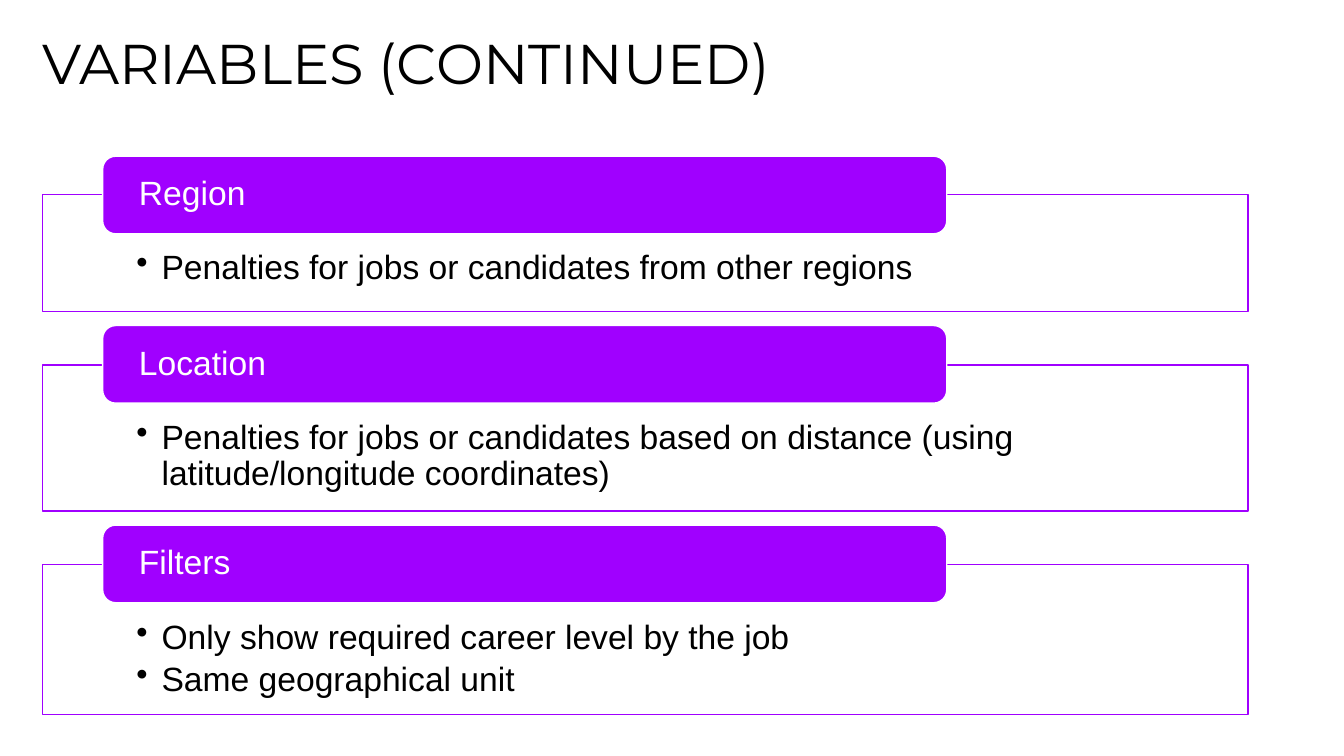
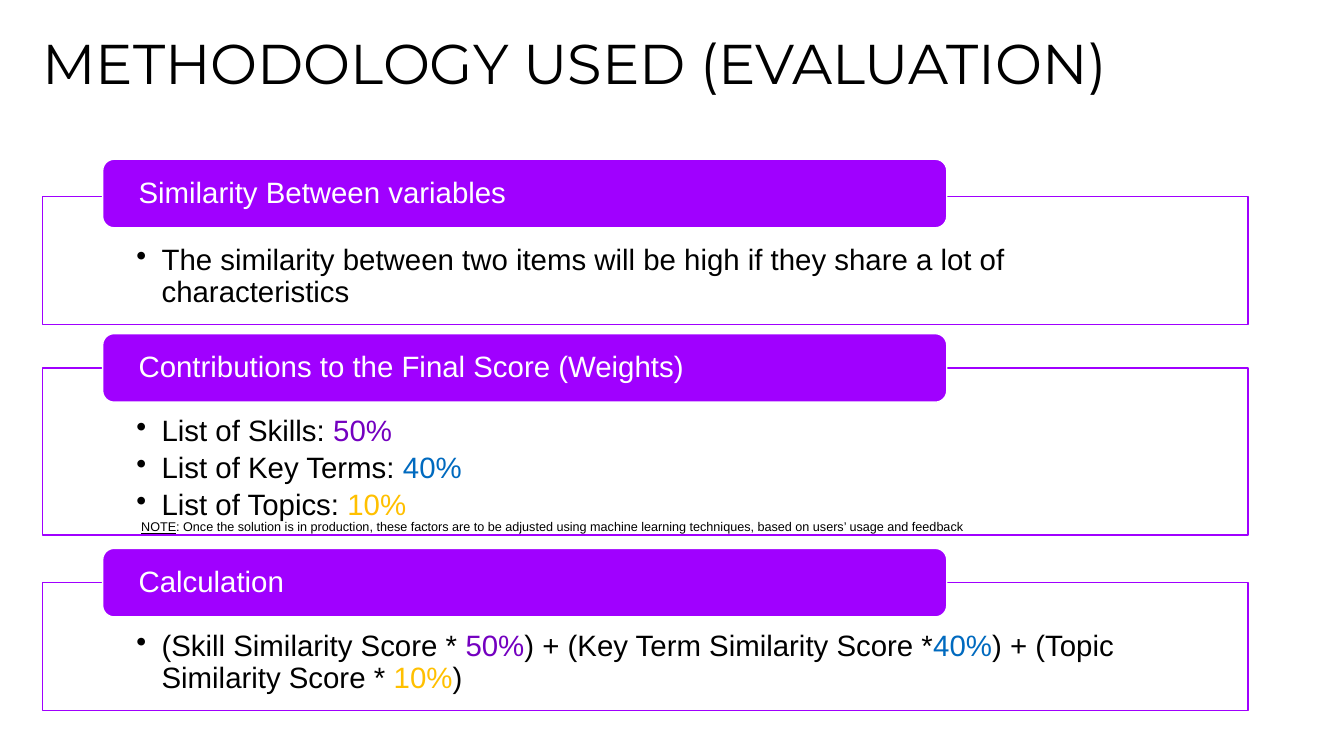
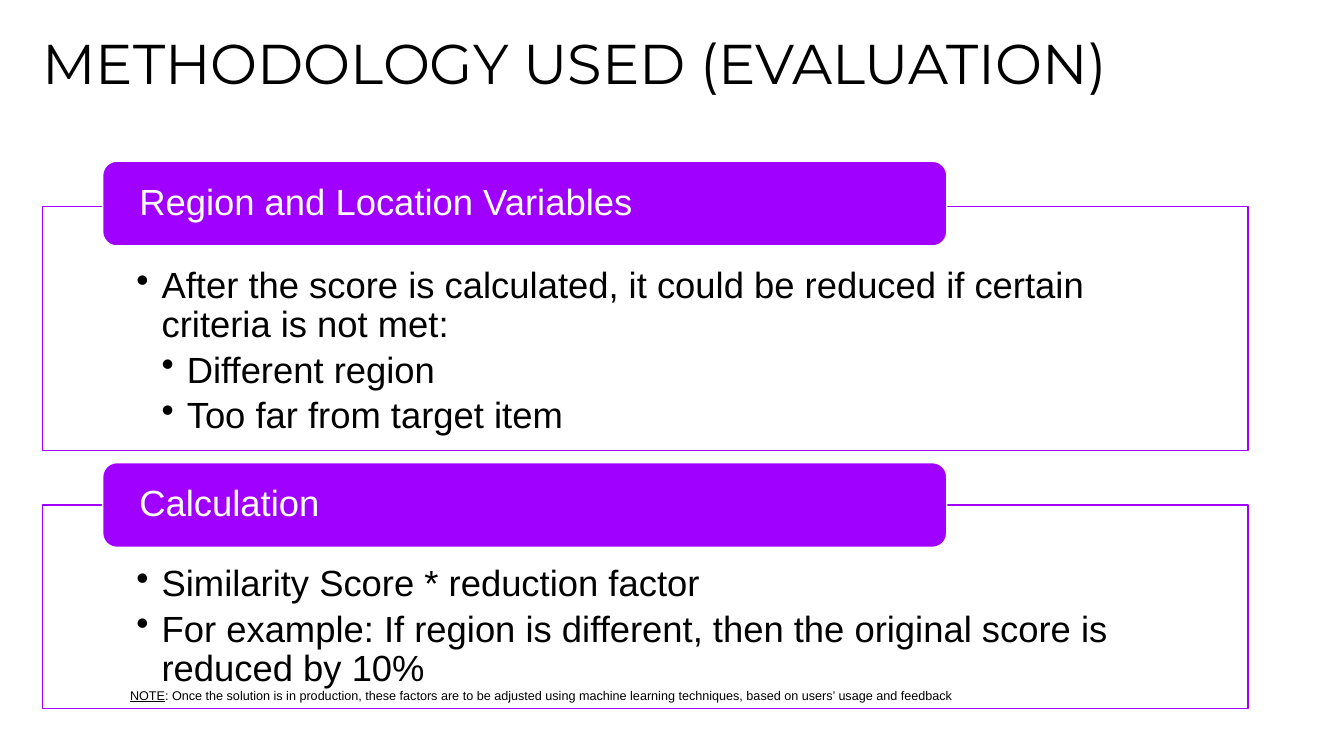
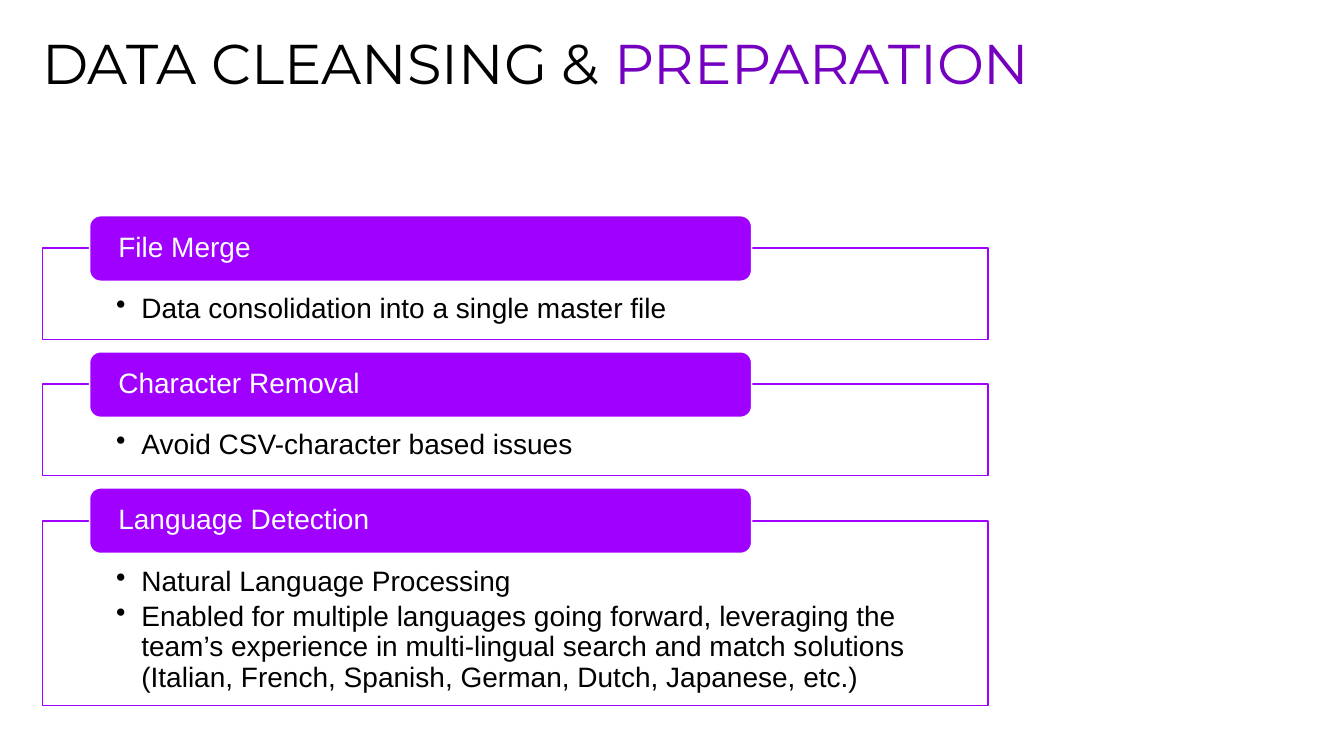
from pptx import Presentation
from pptx.dml.color import RGBColor
from pptx.enum.shapes import MSO_SHAPE
from pptx.enum.text import MSO_ANCHOR, PP_ALIGN
from pptx.oxml.ns import qn
from pptx.util import Inches, Pt
from lxml import etree

RECT, ROUND = MSO_SHAPE.RECTANGLE, MSO_SHAPE.ROUNDED_RECTANGLE
TOP, MIDDLE = MSO_ANCHOR.TOP, MSO_ANCHOR.MIDDLE
LEFT = PP_ALIGN.LEFT

THEME = {
    "ink": "000000", "white": "FFFFFF", "accent": "A000FF",
    "violet": "7400C0", "blue": "006ABF", "gold": "FFC000", "prep": "7500C0",
    "head": "Montserrat", "body": "Arial",
    "title": 40, "note": 9, "edge": 0.42, "indent": 0.25,
}


def write(shape, paras, look):
    frame = shape.text_frame
    frame.word_wrap = True
    frame.vertical_anchor = look.get("anchor", TOP)
    for side, inset in zip(("left", "top", "right", "bottom"), look["insets"]):
        setattr(frame, "margin_" + side, Inches(inset))
    for i, (level, runs) in enumerate(paras):
        para = frame.paragraphs[0] if i == 0 else frame.add_paragraph()
        form = {"alignment": LEFT, "level": level, "line_spacing": look["lines"],
                "space_after": Pt(look.get("after", 0))}
        for name, value in form.items():
            setattr(para, name, value)
        if level:
            props = para._p.get_or_add_pPr()
            props.set("marL", str(Inches(THEME["indent"] * level)))
            props.set("indent", str(-Inches(THEME["indent"])))
            etree.SubElement(props, qn("a:buChar")).set("char", "•")
        for text, tone, *under in runs:
            run = para.add_run()
            run.text = text
            font = {"name": look["font"], "size": Pt(look["size"]), "underline": bool(under)}
            for name, value in font.items():
                setattr(run.font, name, value)
            run.font.color.rgb = RGBColor.from_string(THEME[tone or look["tone"]])


def block(slide, kind, place, fill, line):
    shape = slide.shapes.add_shape(kind, *map(Inches, place))
    shape.shadow.inherit = False
    shape.fill.solid()
    shape.fill.fore_color.rgb = RGBColor.from_string(THEME[fill])
    shape.line.color.rgb = RGBColor.from_string(THEME[line])
    shape.line.width = Pt(1)
    return shape


NOTE = [(0, [("NOTE", None, True),
             (": Once the solution is in production, these factors are to be adjusted using "
              "machine learning techniques, based on users’ usage and feedback", None)])]
EVAL = [("METHODOLOGY USED (EVALUATION)", None)]

SLIDES = [
    {"title": [("VARIABLES (CONTINUED)", None)], "size": 24, "tab": 0.77, "width": 11.96,
     "cards": [
         ("Region", 1.55, 1.93, 1.16, [
             (1, [("Penalties for jobs or candidates from other regions", None)])]),
         ("Location", 3.23, 3.62, 1.45, [
             (1, [("Penalties for jobs or candidates based on distance "
                   "(using latitude/longitude coordinates)", None)])]),
         ("Filters", 5.21, 5.6, 1.49, [
             (1, [("Only show required career level by the job", None)]),
             (1, [("Same geographical unit", None)])]),
     ]},
    {"title": EVAL, "size": 21, "tab": 0.68, "width": 11.96, "note": (1.4, 5.15, 8.92, 0.35),
     "cards": [
         ("Similarity Between variables", 1.58, 1.95, 1.27, [
             (1, [("The similarity between two items will be high if they share "
                   "a lot of characteristics", None)])]),
         ("Contributions to the Final Score (Weights)", 3.31, 3.65, 1.66, [
             (1, [("List of Skills: ", None), ("50%", "violet")]),
             (1, [("List of Key Terms: ", None), ("40%", "blue")]),
             (1, [("List of Topics: ", None), ("10%", "gold")])]),
         ("Calculation", 5.44, 5.78, 1.27, [
             (1, [("(Skill Similarity Score *", None), (" 50%", "violet"),
                  (") + (Key Term Similarity Score *", None), ("40%", "blue"),
                  (") + (Topic Similarity Score * ", None), ("10%", "gold"), (")", None)])]),
     ]},
    {"title": EVAL, "size": 26, "tab": 0.84, "width": 11.96, "note": (1.29, 6.82, 8.53, 0.35),
     "cards": [
         ("Region and Location Variables", 1.6, 2.05, 2.42, [
             (1, [("After the score is calculated, it could be reduced if certain "
                   "criteria is not met:", None)]),
             (2, [("Different region", None)]),
             (2, [("Too far from target item", None)])]),
         ("Calculation", 4.59, 5.01, 2.02, [
             (1, [("Similarity Score * reduction factor", None)]),
             (1, [("For example: If region is different, then the original score is "
                   "reduced by 10%", None)])]),
     ]},
    {"title": [("DATA CLEANSING & ", None), ("PREPARATION", "prep")],
     "size": 20, "tab": 0.65, "width": 9.38,
     "cards": [
         ("File Merge", 2.14, 2.46, 0.91, [
             (1, [("Data consolidation into a single master file", None)])]),
         ("Character Removal", 3.49, 3.81, 0.91, [
             (1, [("Avoid CSV-character based issues", None)])]),
         ("Language Detection", 4.84, 5.17, 1.83, [
             (1, [("Natural Language Processing", None)]),
             (1, [("Enabled for multiple languages going forward, leveraging the team’s "
                   "experience in multi-lingual search and match solutions (Italian, French, "
                   "Spanish, German, Dutch, Japanese, etc.)", None)])]),
     ]},
]

deck = Presentation()
deck.slide_width, deck.slide_height = Inches(13.33), Inches(7.5)
edge = THEME["edge"]
heading = {"font": THEME["head"], "size": THEME["title"], "tone": "ink",
           "lines": 0.7, "insets": (0, 0.05, 0, 0)}
small = {"font": THEME["body"], "size": THEME["note"], "tone": "ink",
         "lines": 1.0, "insets": (0, 0, 0, 0.05)}

for data in SLIDES:
    slide = deck.slides.add_slide(deck.slide_layouts[6])
    title = slide.shapes.add_textbox(*map(Inches, (edge, 0.42, 12.5, 1.08)))
    write(title, [(0, data["title"])], heading)

    size, tab, width = data["size"], data["tab"], data["width"]
    side, pad = width * 0.078, width * 0.027
    base = {"font": THEME["body"], "size": size, "lines": 0.9}
    body = {**base, "tone": "ink", "after": round(size * 0.17, 1),
            "insets": (side, size * 0.023, side, size * 0.008)}
    label = {**base, "tone": "white", "anchor": MIDDLE, "insets": (pad, 0, pad, 0)}

    for name, top, start, height, paras in data["cards"]:
        panel = block(slide, RECT, (edge, start, width, height), "white", "accent")
        write(panel, paras, body)
        place = (edge + width * 0.05, top, width * 0.7, tab)
        write(block(slide, ROUND, place, "accent", "white"), [(0, [(name, None)])], label)

    if "note" in data:
        write(slide.shapes.add_textbox(*map(Inches, data["note"])), NOTE, small)

deck.save("out.pptx")
